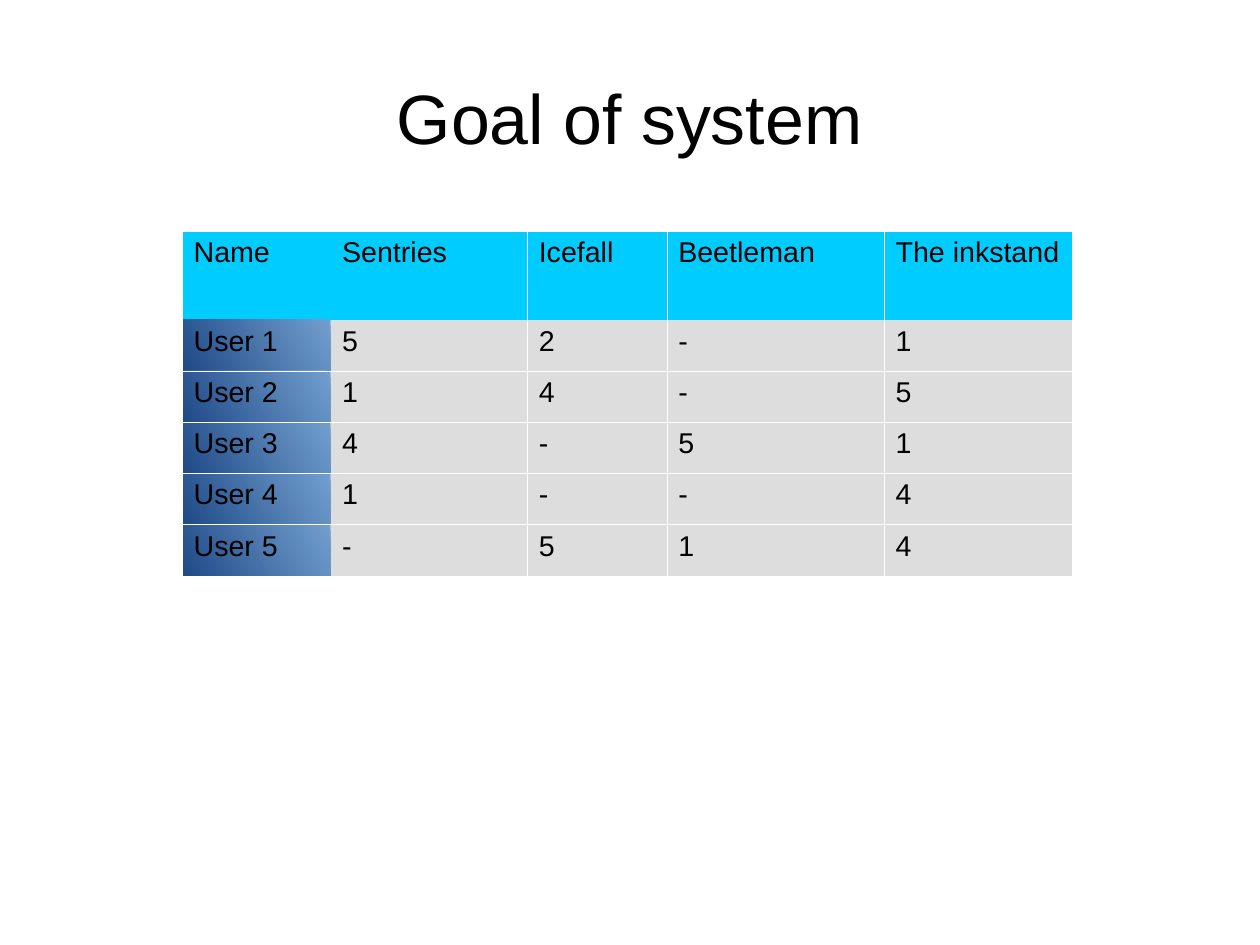
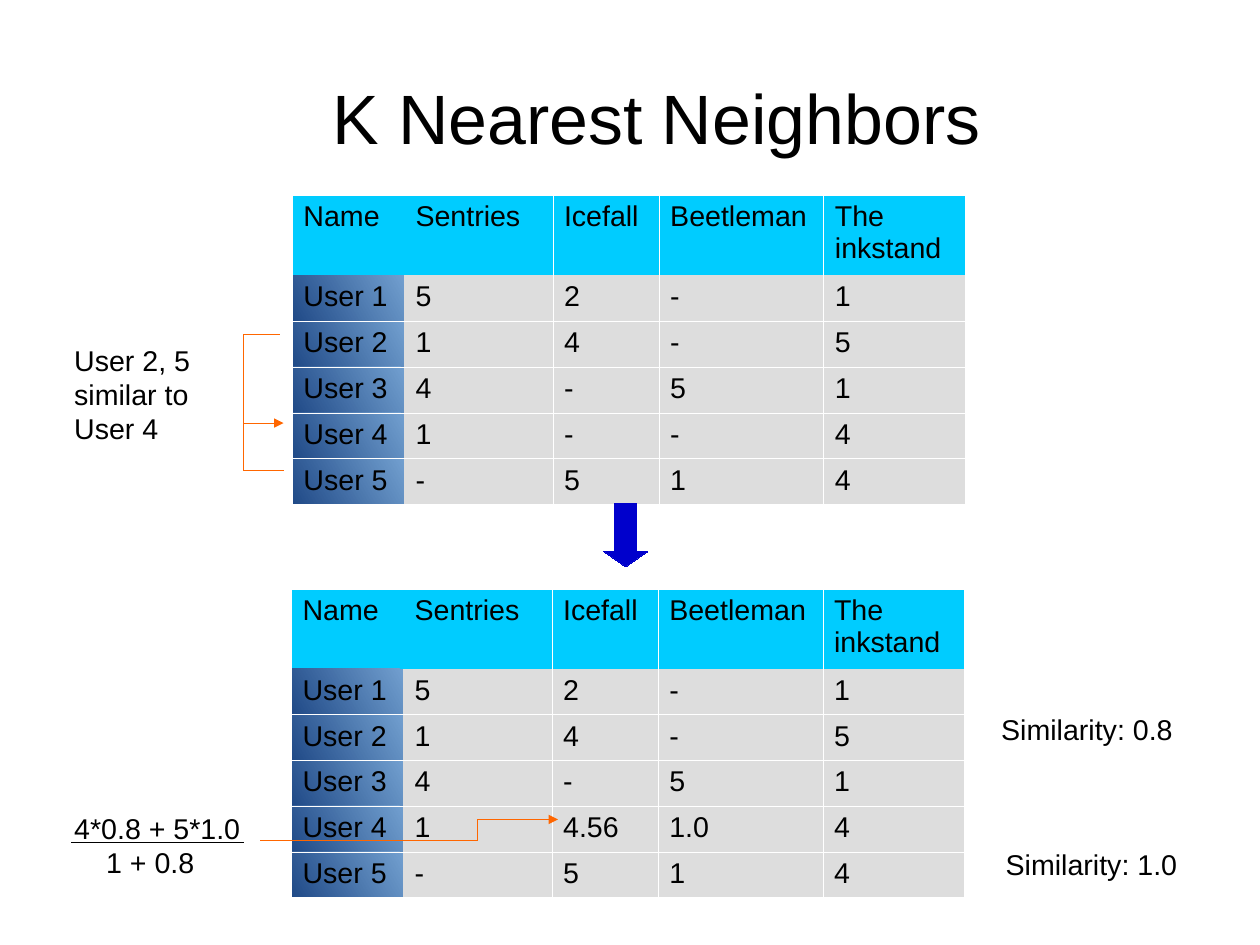
from math import cos, radians, sin

from pptx import Presentation
from pptx.dml.color import RGBColor
from pptx.enum.shapes import MSO_CONNECTOR, MSO_SHAPE
from pptx.enum.text import MSO_ANCHOR, PP_ALIGN
from pptx.oxml.ns import qn
from pptx.oxml.xmlchemy import OxmlElement
from pptx.util import Cm, Pt

BLACK = RGBColor(0x00, 0x00, 0x00)
WHITE = RGBColor(0xFF, 0xFF, 0xFF)
HEADER_CYAN = RGBColor(0x00, 0xCC, 0xFF)
CELL_GREY = RGBColor(0xDD, 0xDD, 0xDD)
USER_LIGHT = RGBColor(0x72, 0x9F, 0xCF)
USER_DARK = RGBColor(0x20, 0x4A, 0x87)
STEP_BLUE = RGBColor(0x00, 0x00, 0xCC)
LINK_ORANGE = RGBColor(0xFF, 0x66, 0x00)

FONT = "Arial"
TITLE_SIZE = Pt(44)
BODY_SIZE = Pt(18)
GRID_WIDTH = Pt(0.06)
HAIRLINE = Pt(0.01)

RATINGS = [
    ["Name", "Sentries", "Icefall", "Beetleman", "The inkstand"],
    ["User 1", "5", "2", "-", "1"],
    ["User 2", "1", "4", "-", "5"],
    ["User 3", "4", "-", "5", "1"],
    ["User 4", "1", "-", "-", "4"],
    ["User 5", "-", "5", "1", "4"],
]
PREDICTED_USER = 4
PREDICTED = ["User 4", "1", "4.56", "1.0", "4"]

WIDE_COLUMNS = [3.3, 4.37, 3.1, 4.83, 4.17]
NARROW_COLUMNS = [2.49, 3.3, 2.36, 3.66, 3.15]


class Deck:
    def __init__(self):
        self.prs = Presentation()
        self.prs.slide_width, self.prs.slide_height = Cm(28), Cm(21)
        self.slide = None

    def new_slide(self, title, indent=0):
        self.slide = self.prs.slides.add_slide(self.prs.slide_layouts[6])
        frame = self.text_frame(1.4, 0.84, 25.2, 3.5)
        frame.vertical_anchor = MSO_ANCHOR.MIDDLE
        frame.margin_left = Cm(indent)
        frame.margin_right = frame.margin_top = frame.margin_bottom = 0
        heading = frame.paragraphs[0]
        heading.alignment = PP_ALIGN.CENTER
        self.add_run(heading, title, TITLE_SIZE)

    def text_frame(self, left, top, width, height):
        box = self.slide.shapes.add_textbox(Cm(left), Cm(top), Cm(width), Cm(height))
        box.text_frame.word_wrap = True
        return box.text_frame

    def add_run(self, paragraph, text, size=BODY_SIZE):
        run = paragraph.add_run()
        run.text = text
        run.font.name, run.font.size = FONT, size
        run.font.color.rgb = BLACK

    def note(self, left, top, width, height, *lines):
        """Add a text box; each line is a (text, indent in cm) pair."""
        frame = self.text_frame(left, top, width, height)
        for index, (text, indent) in enumerate(lines):
            paragraph = frame.add_paragraph() if index else frame.paragraphs[0]
            if indent:
                paragraph._p.get_or_add_pPr().set("marL", str(Cm(indent)))
            self.add_run(paragraph, text)

    def ratings_table(self, left, top, columns, header_height, row_height, ratings):
        heights = [header_height] + [row_height] * (len(ratings) - 1)
        table = self.slide.shapes.add_table(
            len(ratings), len(columns), Cm(left), Cm(top),
            Cm(sum(columns)), Cm(sum(heights))).table
        table.first_row = table.horz_banding = False
        for column, width in zip(table.columns, columns):
            column.width = Cm(width)
        for row, height in zip(table.rows, heights):
            row.height = Cm(height)
        for r, values in enumerate(ratings):
            for c, value in enumerate(values):
                cell = table.cell(r, c)
                self.add_run(cell.text_frame.paragraphs[0], value)
                self.cell_borders(cell, r, c)
                self.cell_fill(cell, r, c)

    def cell_borders(self, cell, row, column):
        """Draw the white grid, left open around the header row and user column."""
        sides = {"a:lnL": column != 1, "a:lnR": column != 0,
                 "a:lnT": row != 1, "a:lnB": row != 0}
        properties = cell._tc.get_or_add_tcPr()
        for tag, visible in sides.items():
            border = OxmlElement(tag)
            border.set("w", str(int(GRID_WIDTH)))
            fill = OxmlElement("a:solidFill" if visible else "a:noFill")
            if visible:
                color = OxmlElement("a:srgbClr")
                color.set("val", str(WHITE))
                fill.append(color)
            border.append(fill)
            properties.append(border)

    def cell_fill(self, cell, row, column):
        if row and not column:
            cell.fill.gradient()
            cell.fill.gradient_angle = 210
            for stop, color in zip(cell.fill.gradient_stops, (USER_LIGHT, USER_DARK)):
                stop.color.rgb = color
        else:
            cell.fill.solid()
            cell.fill.fore_color.rgb = CELL_GREY if row else HEADER_CYAN

    def down_arrow(self, left, top, width, height):
        arrow = self.slide.shapes.add_shape(
            MSO_SHAPE.DOWN_ARROW, Cm(left), Cm(top), Cm(width), Cm(height))
        arrow.adjustments[0], arrow.adjustments[1] = 0.5, 0.35
        arrow.shadow.inherit = False
        arrow.fill.solid()
        arrow.fill.fore_color.rgb = arrow.line.color.rgb = STEP_BLUE
        arrow.line.width = HAIRLINE

    def line(self, start, end, color=LINK_ORANGE, arrow=False, kind=MSO_CONNECTOR.STRAIGHT):
        """Draw a hairline; arrow puts a triangle at its start."""
        connector = self.slide.shapes.add_connector(
            kind, *(Cm(value) for value in (*start, *end)))
        connector.line.color.rgb = color
        connector.line.width = HAIRLINE
        if arrow:
            head = OxmlElement("a:headEnd")
            head.set("type", "triangle")
            connector.line._get_or_add_ln().append(head)
        connector._element.spPr.append(OxmlElement("a:effectLst"))
        return connector

    def elbow(self, start, end, rotation, preset, bend=None):
        """Join two points with a bent connector turned by rotation degrees."""
        center = [(a + b) / 2 for a, b in zip(start, end)]
        dx, dy = start[0] - center[0], start[1] - center[1]
        turn = radians(-rotation)
        x = dx * cos(turn) - dy * sin(turn)
        y = dx * sin(turn) + dy * cos(turn)
        connector = self.line((center[0] + x, center[1] + y),
                              (center[0] - x, center[1] - y),
                              kind=MSO_CONNECTOR.ELBOW)
        properties = connector._element.spPr
        properties.find(qn("a:xfrm")).set("rot", str(rotation * 60000))
        geometry = properties.find(qn("a:prstGeom"))
        geometry.set("prst", preset)
        if bend is not None:
            guide = OxmlElement("a:gd")
            guide.set("name", "adj1")
            guide.set("fmla", f"val {round(bend * 100000)}")
            geometry.find(qn("a:avLst")).append(guide)


def goal_slide(deck):
    deck.new_slide("Goal of system")
    deck.ratings_table(4.05, 5.13, WIDE_COLUMNS, 1.97, 1.14, RATINGS)


def neighbors_slide(deck):
    deck.new_slide("K Nearest Neighbors", indent=1.19)
    predicted = list(RATINGS)
    predicted[PREDICTED_USER] = PREDICTED
    for left, top, ratings in ((6.49, 4.34, RATINGS), (6.47, 13.08, predicted)):
        deck.ratings_table(left, top, NARROW_COLUMNS, 1.68, 0.97, ratings)
    deck.down_arrow(13.41, 11.2, 0.99, 1.4)

    fork = (5.41, 9.4)
    deck.line((6.3, 9.4), fork, arrow=True)
    deck.elbow(fork, (6.22, 7.44), 90, "bentConnector2")
    deck.elbow(fork, (6.3, 10.46), 270, "bentConnector2")
    deck.note(1.4, 7.49, 3.81, 3.1, ("User 2, 5 similar to User 4", 0))

    deck.note(22, 15.7, 7.19, 1.09, ("Similarity: 0.8", 0))
    deck.note(22.1, 18.7, 7.19, 1.09, ("Similarity: 1.0", 0))

    bend = (11.2, 18.21)
    deck.line((12.4, 18.21), bend, arrow=True)
    deck.elbow(bend, (5.79, 18.67), 180, "bentConnector3", bend=0.11)
    deck.note(1.4, 17.9, 4.39, 2.39, ("4*0.8 + 5*1.0", 0), ("1 + 0.8", 0.71))
    deck.line((5.41, 18.72), (1.6, 18.72), color=BLACK)


def main():
    deck = Deck()
    goal_slide(deck)
    neighbors_slide(deck)
    deck.prs.save("out.pptx")


if __name__ == "__main__":
    main()
